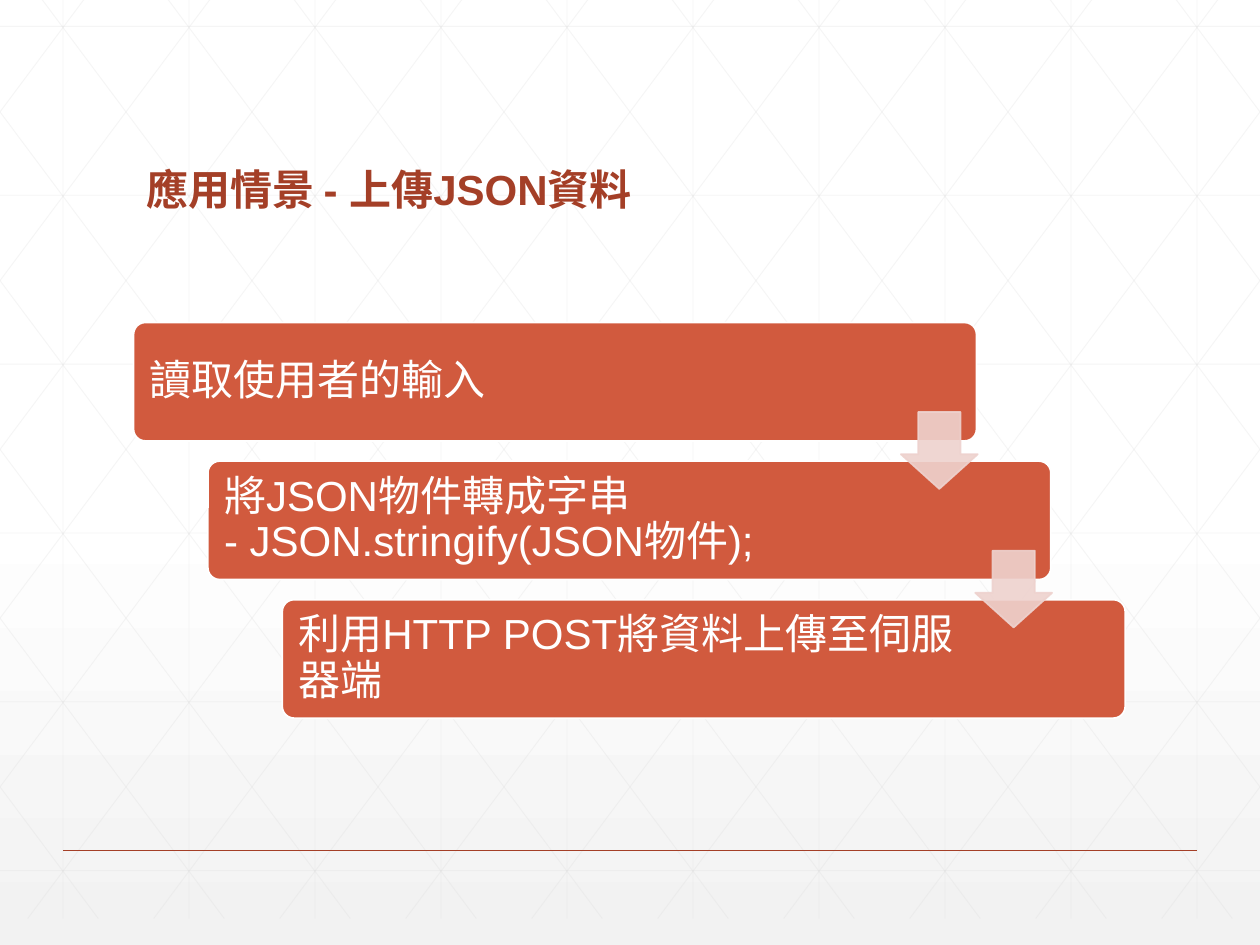
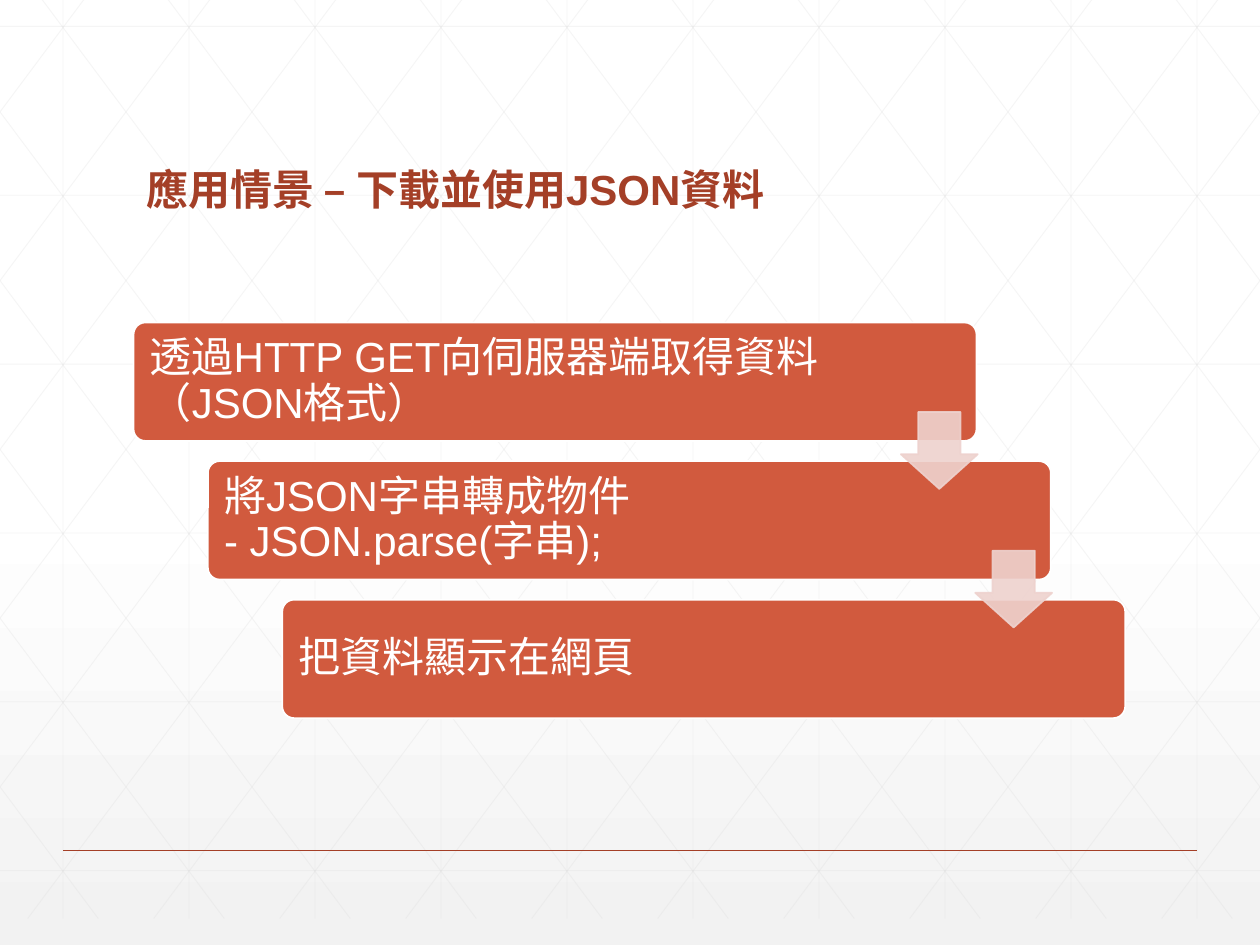
from lxml.etree import SubElement
from pptx import Presentation
from pptx.dml.color import RGBColor
from pptx.enum.shapes import MSO_CONNECTOR as Connector, MSO_SHAPE as Shape
from pptx.enum.text import MSO_ANCHOR as Anchor, MSO_AUTO_SIZE as AutoSize, PP_ALIGN as Align
from pptx.oxml.ns import qn
from pptx.util import Inches, Pt

WIDTH, HEIGHT = 10, 7.5
WHITE, RUST, BRICK, BLUSH = "FFFFFF", "A43F27", "D15A3E", "EED2CE"
MESH_GREY = "D9D9D9"
BACKGROUND_STOPS = [(0, WHITE), (53, WHITE), (100, "F2F2F2")]
TITLE_FONT = {"name": "Arial", "size": Pt(24), "bold": True}
STEP_FONT = {"name": "Arial", "size": Pt(24), "bold": False}

MESH_TOP, MESH_BOTTOM = -0.21, 7.29
DIAGONAL_RUN = 5.6
STEP_DX, STEP_DY = 0.59, 1.1
STEP_TEXT_WIDTHS = [5.68, 5.44, 5.44]

SCENARIOS = [
    ("應用情景 - 上傳JSON資料", [
        "讀取使用者的輸入",
        "將JSON物件轉成字串\v- JSON.stringify(JSON物件);",
        "利用HTTP POST將資料上傳至伺服器端",
    ]),
    ("應用情景 – 下載並使用JSON資料", [
        "透過HTTP GET向伺服器端取得資料（JSON格式）",
        "將JSON字串轉成物件\v- JSON.parse(字串);",
        "把資料顯示在網頁",
    ]),
]


def rgb(hex_value):
    return RGBColor.from_string(hex_value)


def set_opacity(shape, percent):
    """Apply one opacity to every colour in the shape's fill and line."""
    for color in shape.element.spPr.iter(qn("a:srgbClr")):
        SubElement(color, qn("a:alpha"), val=str(percent * 1000))


def format_text(frame, text, font, color, anchor):
    settings = {"word_wrap": True, "auto_size": AutoSize.NONE, "vertical_anchor": anchor}
    for side in ("left", "right", "top", "bottom"):
        settings[f"margin_{side}"] = Inches(0.1)
    for name, value in settings.items():
        setattr(frame, name, value)
    paragraph = frame.paragraphs[0]
    paragraph.text = text
    paragraph.alignment = Align.LEFT
    paragraph.line_spacing = 0.9
    for run in paragraph.runs:
        run.font.color.rgb = rgb(color)
        for name, value in font.items():
            setattr(run.font, name, value)


def add_line(slide, start, end, color, points):
    ends = [Inches(length) for length in (*start, *end)]
    line = slide.shapes.add_connector(Connector.STRAIGHT, *ends)
    line.line.color.rgb = rgb(color)
    line.line.width = Pt(points)
    SubElement(line.element.spPr, qn("a:effectLst"))
    return line


def add_filled_shape(slide, kind, box, fill, outline, adjustments):
    shape = slide.shapes.add_shape(kind, *map(Inches, box))
    shape.shadow.inherit = False
    shape.fill.solid()
    shape.fill.fore_color.rgb = rgb(fill)
    shape.line.color.rgb = rgb(outline)
    shape.line.width = Pt(1)
    for index, value in enumerate(adjustments):
        shape.adjustments[index] = value
    return shape


def mesh_segments():
    """Return the ends of the upright, level and mirrored diagonal mesh lines."""
    segments = [((x + 0.5, MESH_TOP), (x + 0.5, MESH_BOTTOM)) for x in range(WIDTH)]
    for row in range(6):
        y = 0.21 + 1.34 * row
        segments.append(((0, y), (WIDTH, y)))
    slope = (MESH_BOTTOM - MESH_TOP) / DIAGONAL_RUN
    for column in range(-5, WIDTH):
        origin = column + 0.18
        left, right = max(origin, 0), min(origin + DIAGONAL_RUN, WIDTH)
        upper = MESH_TOP + (left - origin) * slope
        lower = MESH_TOP + (right - origin) * slope
        segments.append(((left, upper), (right, lower)))
        segments.append(((WIDTH - left, upper), (WIDTH - right, lower)))
    return segments


def set_background(layout):
    fill = layout.background.fill
    fill.gradient()
    fill.gradient_angle = 270
    stops = layout.element.find(".//" + qn("a:gsLst"))
    for stop in list(stops):
        stops.remove(stop)
    for position, color in BACKGROUND_STOPS:
        stop = SubElement(stops, qn("a:gs"), pos=str(position * 1000))
        SubElement(stop, qn("a:srgbClr"), val=color)


def decorate_layout(layout, slide):
    """Draw the shared mesh and footer rule on a slide, then move them to its layout."""
    for placeholder in list(layout.placeholders)[1:]:
        placeholder.element.getparent().remove(placeholder.element)
    set_background(layout)
    decorations = []
    for start, end in mesh_segments():
        mesh_line = add_line(slide, start, end, MESH_GREY, 0.5)
        set_opacity(mesh_line, 25)
        decorations.append(mesh_line)
    decorations.append(add_line(slide, (0.5, 6.75), (9.5, 6.75), RUST, 1))
    for line in decorations:
        layout.shapes.element.append(line.element)


def add_title(slide, text):
    title = slide.shapes.title
    title.left, title.top, title.width, title.height = map(Inches, (1.06, 0.55, 7.88, 1.25))
    format_text(title.text_frame, text, TITLE_FONT, RUST, Anchor.BOTTOM)


def add_staircase(slide, steps):
    """Add the descending step boxes and the arrows that join them."""
    for index, (step, text_width) in enumerate(zip(steps, STEP_TEXT_WIDTHS)):
        left, top = 1.06 + STEP_DX * index, 2.56 + STEP_DY * index
        add_filled_shape(slide, Shape.ROUNDED_RECTANGLE, (left, top, 6.69, 0.94),
                         BRICK, WHITE, [0.1])
        label_box = (left + 0.03, top + 0.03, text_width, 0.88)
        label = slide.shapes.add_textbox(*map(Inches, label_box))
        format_text(label.text_frame, step, STEP_FONT, WHITE, Anchor.MIDDLE)
    for index in range(len(steps) - 1):
        arrow_box = (7.15 + STEP_DX * index, 3.27 + STEP_DY * index, 0.61, 0.61)
        arrow = add_filled_shape(slide, Shape.DOWN_ARROW, arrow_box, BLUSH, BLUSH, [0.55, 0.45])
        set_opacity(arrow, 90)


def main():
    deck = Presentation()
    deck.slide_width, deck.slide_height = Inches(WIDTH), Inches(HEIGHT)
    layout = deck.slide_layouts.get_by_name("Title Only")
    slides = [deck.slides.add_slide(layout) for _ in SCENARIOS]
    decorate_layout(layout, slides[0])
    for slide, (title, steps) in zip(slides, SCENARIOS):
        add_title(slide, title)
        add_staircase(slide, steps)
    deck.save("out.pptx")


if __name__ == "__main__":
    main()
